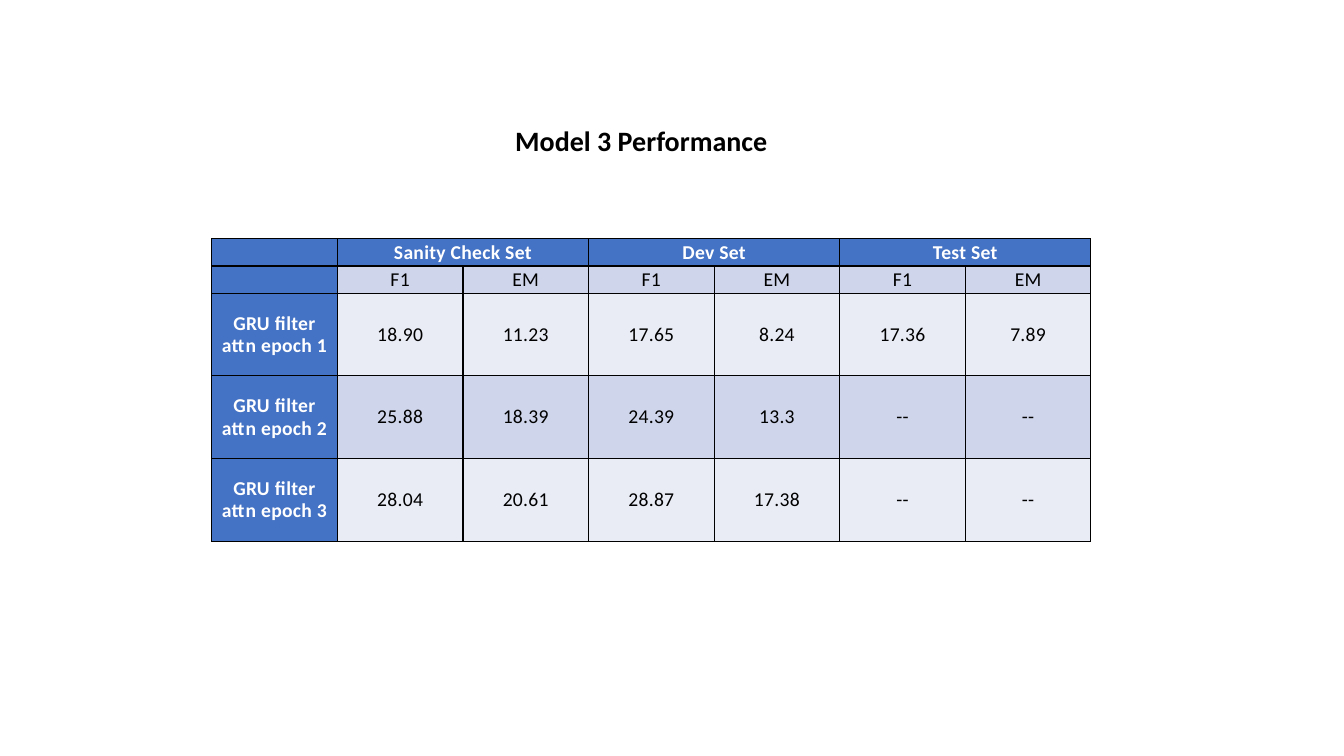
"""Build the Model 3 performance slide."""
import pptx
import pptx.dml.color
import pptx.enum.text
import pptx.oxml
import pptx.oxml.ns
import pptx.util

INCH, POINT = pptx.util.Inches, pptx.util.Pt
ALIGN, ANCHOR = pptx.enum.text.PP_ALIGN, pptx.enum.text.MSO_ANCHOR
COLOURS = {"header": "4472C4", "band": "CFD5EA", "light": "E9EBF5",
           "ink": "000000", "paper": "FFFFFF"}
WIDTH, HEIGHT = 13.33, 7.5
TABLE_LEFT, TABLE_TOP = 2.1, 2.37
TABLE_WIDTH = 8.72
ROW_HEIGHTS = [0.27] * 2 + [0.82] * 3
SETS = ["Sanity Check Set", "Dev Set", "Test Set"]
MEASURES = ["F1", "EM"]
SCORES = [
    ["18.90", "11.23", "17.65", "8.24", "17.36", "7.89"],
    ["25.88", "18.39", "24.39", "13.3", "--", "--"],
    ["28.04", "20.61", "28.87", "17.38", "--", "--"],
]
CELL_FORMAT = {"margin_left": INCH(0.07), "margin_right": INCH(0.07),
               "margin_top": 0, "margin_bottom": 0,
               "vertical_anchor": ANCHOR.MIDDLE}
PARA_FORMAT = {"alignment": ALIGN.CENTER, "line_spacing": 0.94,
               "space_before": POINT(6)}


def apply(target, values):
    """Set each named attribute of the target."""
    for name, value in values.items():
        setattr(target, name, value)


def colour(name):
    """Return the named palette colour."""
    return pptx.dml.color.RGBColor.from_string(COLOURS[name])


def write(para, text, size, ink, bold):
    """Add a formatted span to a paragraph and return it."""
    span = para.add_run()
    span.text = text
    apply(span.font, {"name": "Calibri", "size": POINT(size), "bold": bold})
    span.font.color.rgb = colour(ink)
    return span


def add_borders(cell):
    """Draw a one-point line on every side of a cell."""
    properties = cell._tc.get_or_add_tcPr()
    namespace = pptx.oxml.ns.nsdecls("a")
    for side in "LRTB":
        properties.append(pptx.oxml.parse_xml(
            f'<a:ln{side} {namespace} w="{POINT(1)}"><a:solidFill>'
            f'<a:srgbClr val="{COLOURS["ink"]}"/></a:solidFill></a:ln{side}>'))


def fill_cell(cell, text, fill):
    """Format a cell and write its text."""
    add_borders(cell)
    apply(cell, CELL_FORMAT)
    cell.fill.solid()
    cell.fill.fore_color.rgb = colour(fill)
    para = cell.text_frame.paragraphs[0]
    apply(para, PARA_FORMAT)
    if text:
        header = fill == "header"
        span = write(para, text, 14, "paper" if header else "ink", header)
        span.font._element.set("spc", "20")
    else:
        para._p.append(pptx.oxml.parse_xml(
            f'<a:endParaRPr {pptx.oxml.ns.nsdecls("a")} sz="1400"/>'))


def add_title(page, text):
    """Place the slide title above the table."""
    box = page.shapes.title
    apply(box, {"left": INCH(5.01), "top": INCH(1.18),
                "width": INCH(2.93), "height": INCH(0.44)})
    apply(box.text_frame, {"word_wrap": True, "vertical_anchor": ANCHOR.TOP,
                           "auto_size": pptx.enum.text.MSO_AUTO_SIZE.NONE})
    para = box.text_frame.paragraphs[0]
    para.alignment = ALIGN.LEFT
    write(para, text, 20, "ink", True)


def add_scores(page):
    """Add the table of scores by epoch and data set."""
    group = len(MEASURES)
    heads = [name for label in SETS for name in [label] + [""] * (group - 1)]
    rows = [[""] + heads, [""] + MEASURES * len(SETS)]
    rows += [[f"GRU filter attn epoch {epoch}"] + scores
             for epoch, scores in enumerate(SCORES, 1)]
    columns = len(rows[0])
    table = page.shapes.add_table(
        len(rows), columns, INCH(TABLE_LEFT), INCH(TABLE_TOP),
        INCH(TABLE_WIDTH), INCH(sum(ROW_HEIGHTS))).table
    for column in table.columns:
        column.width = INCH(TABLE_WIDTH / columns)
    for r, texts in enumerate(rows):
        table.rows[r].height = INCH(ROW_HEIGHTS[r])
        body = "band" if r % 2 else "light"
        for c, text in enumerate(texts):
            fill_cell(table.cell(r, c), text, body if r and c else "header")
    for start in range(1, columns, group):
        table.cell(0, start).merge(table.cell(0, start + group - 1))


def main():
    """Create and save the deck."""
    deck = pptx.Presentation()
    apply(deck, {"slide_width": INCH(WIDTH), "slide_height": INCH(HEIGHT)})
    page = deck.slides.add_slide(deck.slide_layouts.get_by_name("Title Only"))
    add_scores(page)
    add_title(page, "Model 3 Performance")
    deck.save("out.pptx")


if __name__ == "__main__":
    main()
